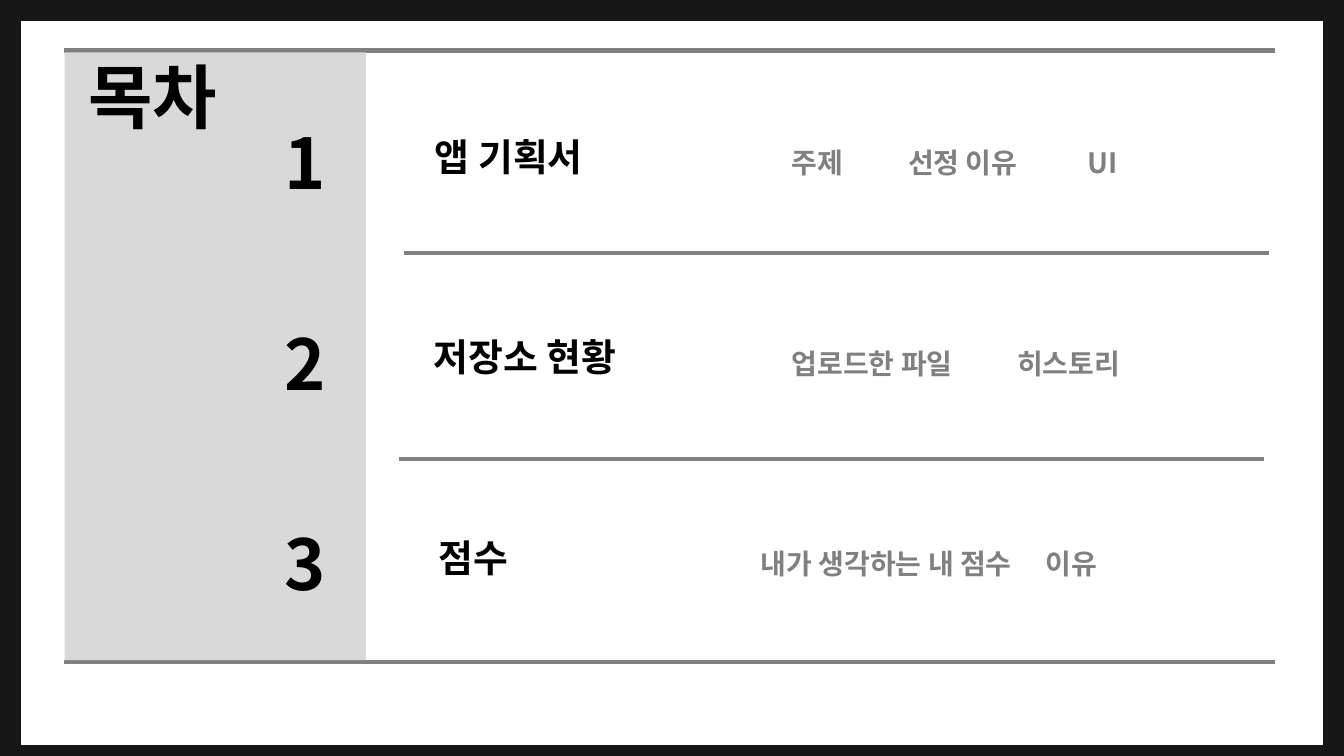
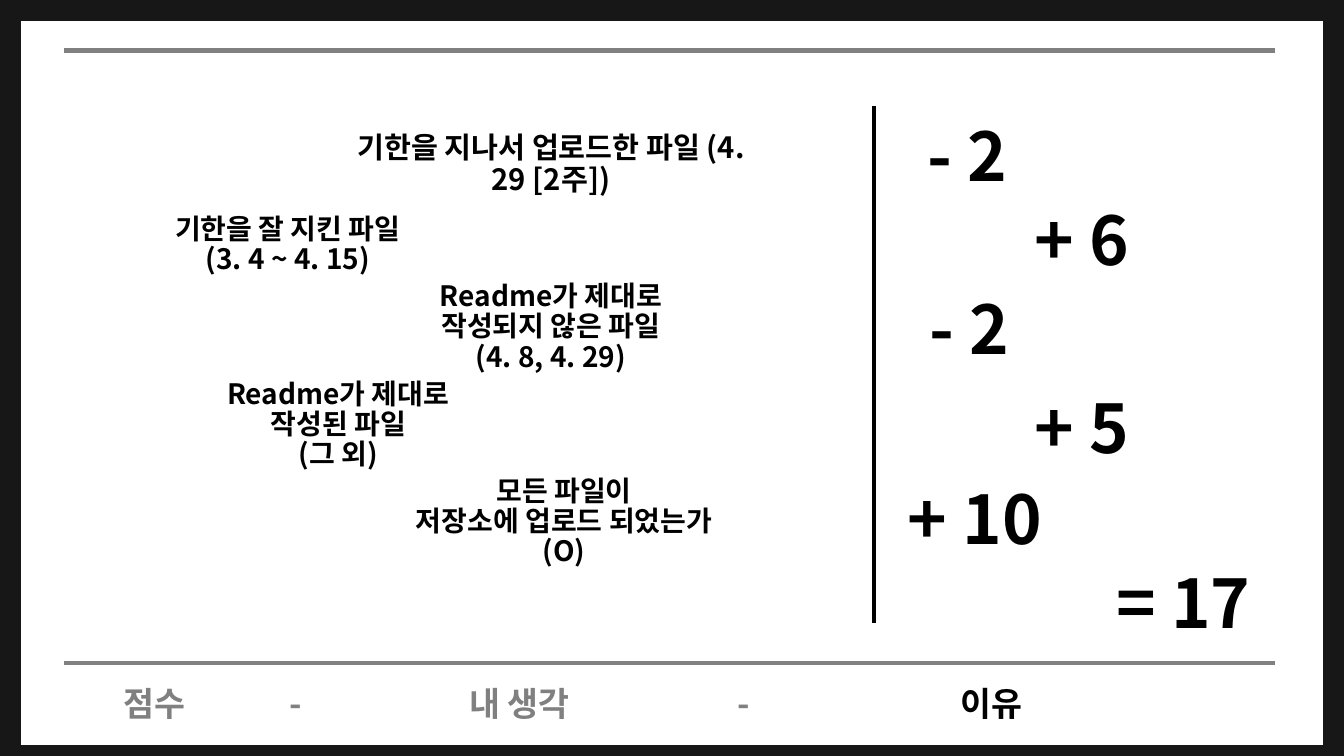
from lxml.etree import SubElement
from pptx import Presentation
from pptx.dml.color import RGBColor
from pptx.enum.shapes import MSO_CONNECTOR, MSO_SHAPE
from pptx.enum.text import MSO_ANCHOR, PP_ALIGN
from pptx.oxml.ns import qn
from pptx.util import Inches, Pt

WIDTH, HEIGHT = 13.33, 7.5
FONT = "Noto Sans CJK KR"
COLORS = {"ink": "000000", "muted": "808080", "panel": "D9D9D9", "frame": "181717"}

# Contents: heading, its left and width, then topics as (text, left, width)
CONTENTS_TITLE = "목차"
SECTIONS = [
    ("앱 기획서", 4.1, 1.89, [("주제", 7.61, 1), ("선정 이유", 8.8, 1.5), ("UI", 10.54, 0.8)]),
    ("저장소 현황", 4.03, 2.35, [("업로드한 파일", 7.6, 2.1), ("히스토리", 9.85, 1.5)]),
    ("점수", 4.1, 1.19, [("내가 생각하는 내 점수", 7.4, 2.78), ("이유", 10.18, 0.9)]),
]
SECTION_TOP, SECTION_PITCH = 1.29, 1.99
DIVIDERS = [(4.01, 2.51), (3.96, 4.55)]
DIVIDER_LENGTH = 8.58

# Scores: reason lines, left, top, size
REASONS = [
    (["기한을 지나서 업로드한 파일 (4. 29 [2주])"], 3.35, 1.21, 20.9),
    (["기한을 잘 지킨 파일", "(3. 4 ~ 4. 15)"], 0.74, 1.99, 20),
    (["Readme가 제대로", "작성되지 않은 파일", "(4. 8, 4. 29)"], 3.35, 2.96, 20),
    (["Readme가 제대로", "작성된 파일", "(그 외)"], 1.24, 3.93, 20),
    (["모든 파일이", "저장소에 업로드 되었는가", "(O)"], 3.48, 4.89, 20),
]
# Points: text, left, top, width
POINTS = [
    ("- 2", 8.92, 1.15, 1.35),
    ("+ 6", 10.07, 1.99, 1.32),
    ("- 2", 8.95, 2.87, 1.32),
    ("+ 5", 10.07, 3.85, 1.32),
    ("+ 10", 8.81, 4.76, 1.72),
    ("= 17", 10.89, 5.59, 1.69),
]
# Footer trail: text, left, width, colour
TRAIL = [
    ("점수", 0.52, 2.02, "muted"),
    ("-", 2.38, 1.11, "muted"),
    ("내 생각", 4.12, 2.06, "muted"),
    ("-", 6.82, 1.11, "muted"),
    ("이유", 8.82, 2.03, "ink"),
]


def rgb(name):
    return RGBColor.from_string(COLORS[name])


def add_text(slide, lines, left, top, width, height, size, color="ink"):
    frame = slide.shapes.add_textbox(*map(Inches, (left, top, width, height))).text_frame
    frame.word_wrap = True
    frame.vertical_anchor = MSO_ANCHOR.BOTTOM
    frame.text = "\n".join(lines)
    for paragraph in frame.paragraphs:
        paragraph.alignment = PP_ALIGN.CENTER
        paragraph.line_spacing = 0.9
        font = paragraph.font
        font.name, font.size, font.bold = FONT, Pt(size), True
        font.color.rgb = rgb(color)
        # Hangul takes its typeface from the East Asian slot
        SubElement(paragraph._p.pPr.find(qn("a:defRPr")), qn("a:ea"), typeface=FONT)


def add_rule(slide, x1, y1, x2, y2, color="muted"):
    rule = slide.shapes.add_connector(MSO_CONNECTOR.STRAIGHT, *map(Inches, (x1, y1, x2, y2)))
    rule.line.color.rgb = rgb(color)
    rule.line.width = Pt(3)
    SubElement(rule._element.spPr, qn("a:effectLst"))


def add_rectangle(slide, left, top, width, height):
    rectangle = slide.shapes.add_shape(
        MSO_SHAPE.RECTANGLE, *map(Inches, (left, top, width, height)))
    rectangle.shadow.inherit = False
    return rectangle


def add_page(deck, bottom_rule):
    """Slide with the dark frame and the top and bottom rules."""
    slide = deck.slides.add_slide(deck.slide_layouts[6])
    border = add_rectangle(slide, 0.1, 0.1, WIDTH - 0.2, HEIGHT - 0.1)
    border.fill.background()
    border.line.color.rgb = rgb("frame")
    border.line.width = Pt(15)
    # Square corners
    SubElement(border._element.spPr.find(qn("a:ln")), qn("a:miter"), lim="800000")
    for y in (0.5, bottom_rule):
        add_rule(slide, 0.63, y, 12.65, y)
    return slide


def build_contents(deck):
    slide = add_page(deck, 6.57)
    # Side panel and title
    panel = add_rectangle(slide, 0.64, 0.52, 2.99, 6.03)
    panel.fill.solid()
    panel.fill.fore_color.rgb = rgb("panel")
    panel.line.fill.background()
    add_text(slide, [CONTENTS_TITLE], 0.61, 0.49, 1.81, 0.93, 50)
    # Numbered sections with their topics
    for index, (heading, left, width, topics) in enumerate(SECTIONS):
        top = SECTION_TOP + index * SECTION_PITCH
        add_text(slide, [str(index + 1)], 2.49, top - 0.27, 1.08, 1.06, 50)
        add_text(slide, [heading], left, top, width, 0.54, 27)
        for topic, topic_left, topic_width in topics:
            add_text(slide, [topic], topic_left, top, topic_width, 0.54, 20, "muted")
    for x, y in DIVIDERS:
        add_rule(slide, x, y, x + DIVIDER_LENGTH, y)


def build_scores(deck):
    slide = add_page(deck, 6.58)
    # Reasons on the left, points on the right
    for lines, left, top, size in REASONS:
        add_text(slide, lines, left, top, 4.23, 0.79, size)
    add_rule(slide, 8.67, 1.05, 8.67, 6.18, "ink")
    for points, left, top, width in POINTS:
        add_text(slide, [points], left, top, width, 0.84, 48)
    # Footer trail
    for step, left, width, color in TRAIL:
        add_text(slide, [step], left, 6.76, width, 0.47, 24, color)


def main():
    deck = Presentation()
    deck.slide_width, deck.slide_height = Inches(WIDTH), Inches(HEIGHT)
    build_contents(deck)
    build_scores(deck)
    deck.save("out.pptx")


if __name__ == "__main__":
    main()
